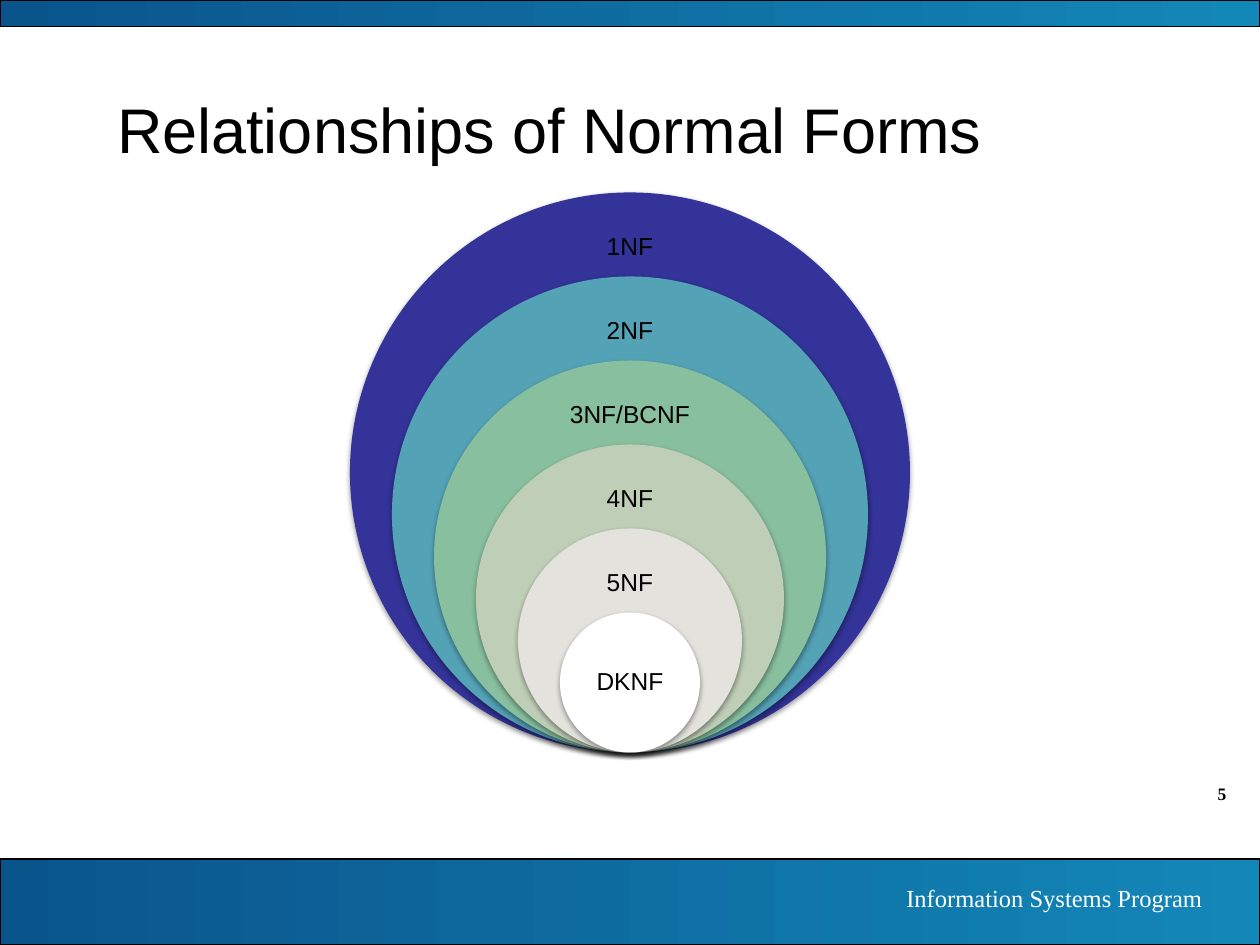
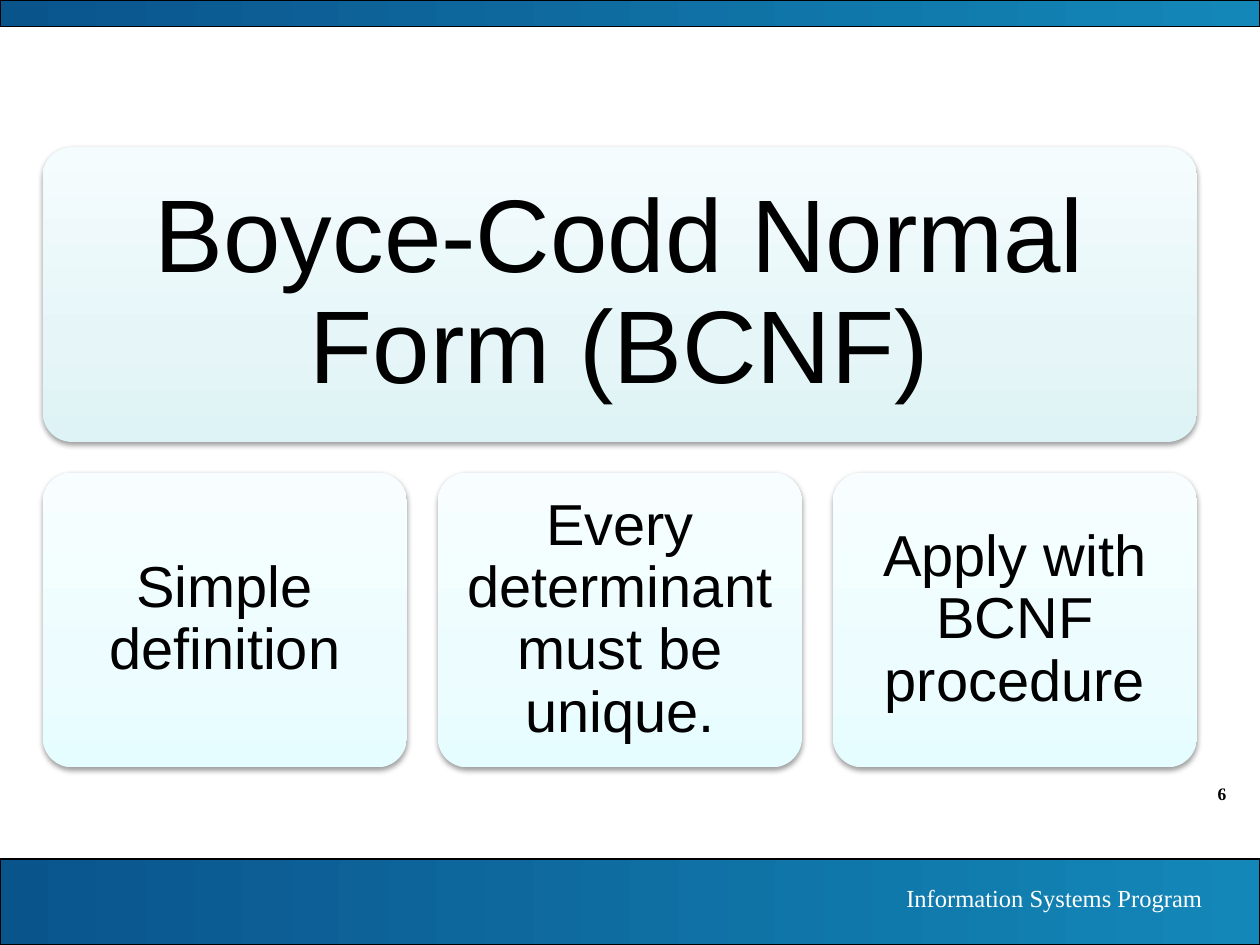
"""Build two slides on database normal forms."""
import lxml.etree
import pptx
import pptx.dml.color
import pptx.enum.shapes
import pptx.enum.text
import pptx.oxml.ns
import pptx.util

Cm = pptx.util.Cm
SHAPES = pptx.enum.shapes.MSO_SHAPE
ALIGN = pptx.enum.text.PP_ALIGN
ANCHOR = pptx.enum.text.MSO_ANCHOR
qn = pptx.oxml.ns.qn

COLORS = {
    "text": "000000", "footer": "FFFFFF", "outline": "000000", "shadow": "000000",
    "1NF": "333399", "2NF": "54A2B6", "3NF/BCNF": "88BF9E",
    "4NF": "BFCEB6", "5NF": "E3E2DD", "DKNF": "FFFFFF",
}
BAND_STOPS = [(0, "0A548C"), (100, "1387B8")]
HEADING_STOPS = [(0, "DDF3F5"), (35, "E6F6F8"), (100, "F5FCFD")]
POINT_STOPS = [(0, "E6FDFF"), (35, "EDFDFF"), (100, "F8FEFF")]

SLIDE_WIDTH, SLIDE_HEIGHT = 25.4, 19.05
LABEL_WIDTHS = {"1NF": 4.23, "2NF": 4.14, "3NF/BCNF": 4.09,
                "4NF": 3.35, "5NF": 2.95, "DKNF": 2.01}
POINTS = ["Simple definition", "Every determinant must be unique.",
          "Apply with BCNF procedure"]


def rgb(hex_color):
    """Return the colour object for a hex string."""
    return pptx.dml.color.RGBColor.from_string(hex_color)


def write_text(shape, text, size, font="Arial", color="text", bold=False,
               align=ALIGN.LEFT, anchor=ANCHOR.TOP, inset=None, spacing=None):
    """Write one formatted paragraph into a shape."""
    frame = shape.text_frame
    frame.word_wrap = True
    frame.vertical_anchor = anchor
    if inset is not None:
        frame.margin_left = frame.margin_right = Cm(inset)
        frame.margin_top = frame.margin_bottom = Cm(inset)
    paragraph = frame.paragraphs[0]
    paragraph.alignment = align
    paragraph.line_spacing = spacing
    run = paragraph.add_run()
    run.text = text
    run.font.name = font
    run.font.size = pptx.util.Pt(size)
    run.font.bold = bold
    run.font.color.rgb = rgb(COLORS[color])


def add_text(slide, box, text, **text_format):
    """Add a text box at (left, top, width, height) in centimetres."""
    textbox = slide.shapes.add_textbox(*map(Cm, box))
    write_text(textbox, text, **text_format)


def add_plain_shape(slide, kind, box):
    """Add a preset shape without outline or shadow."""
    shape = slide.shapes.add_shape(kind, *map(Cm, box))
    shape.shadow.inherit = False
    shape.line.fill.background()
    return shape


def fill_gradient(shape, stops, angle):
    """Fill a shape with a linear gradient of (percent, colour) stops."""
    shape.fill.gradient()
    shape.fill.gradient_angle = angle
    stop_list = shape._element.spPr.find(".//" + qn("a:gsLst"))
    for old_stop in list(stop_list):
        stop_list.remove(old_stop)
    for percent, color in stops:
        stop = lxml.etree.SubElement(stop_list, qn("a:gs"), pos=str(percent * 1000))
        lxml.etree.SubElement(stop, qn("a:srgbClr"), val=color)


def add_soft_shadow(shape):
    """Give a shape a soft shadow that falls straight down."""
    effects = shape._element.spPr.find(qn("a:effectLst"))
    shadow = lxml.etree.SubElement(effects, qn("a:outerShdw"), blurRad="40000",
                                   dist="20000", dir="5400000", rotWithShape="0")
    color = lxml.etree.SubElement(shadow, qn("a:srgbClr"), val=COLORS["shadow"])
    lxml.etree.SubElement(color, qn("a:alpha"), val="38000")


def add_band(slide, top, height):
    """Add a full-width gradient band."""
    band = add_plain_shape(slide, SHAPES.RECTANGLE, (0, top, SLIDE_WIDTH, height))
    fill_gradient(band, BAND_STOPS, 0)
    band.line.color.rgb = rgb(COLORS["outline"])
    band.line.width = pptx.util.Pt(0.75)


def add_framed_slide(deck, number):
    """Add a blank slide with its page number, bands and footer."""
    slide = deck.slides.add_slide(deck.slide_layouts[6])
    add_text(slide, (22.86, 15.67, 2.11, 0.69), str(number), size=10,
             font="Times New Roman", bold=True, align=ALIGN.RIGHT)
    add_band(slide, 17.32, SLIDE_HEIGHT - 17.32)
    add_band(slide, 0, 0.53)
    add_text(slide, (14.1, 17.68, 10.39, 0.86), "Information Systems Program",
             size=14, font="Times New Roman", color="footer", align=ALIGN.RIGHT)
    return slide


def add_nested_circles(slide, outer=11.29, bottom=15.17):
    """Add circles that shrink evenly and touch at the bottom."""
    center = SLIDE_WIDTH / 2
    for level, (form, label_width) in enumerate(LABEL_WIDTHS.items()):
        diameter = outer * (1 - 0.15 * level)
        top = bottom - diameter
        circle = add_plain_shape(slide, SHAPES.OVAL,
                                 (center - diameter / 2, top, diameter, diameter))
        circle.fill.solid()
        circle.fill.fore_color.rgb = rgb(COLORS[form])
        add_soft_shadow(circle)
        innermost = level == len(LABEL_WIDTHS) - 1
        offset, height = (diameter / 4, diameter / 2) if innermost else (0.56, 1.11)
        add_text(slide, (center - label_width / 2, top + offset, label_width, height),
                 form, size=14, align=ALIGN.CENTER, anchor=ANCHOR.MIDDLE,
                 inset=0.28, spacing=0.9)


def add_card(slide, box, text, stops, size, inset):
    """Add a rounded gradient card with centred text."""
    card = add_plain_shape(slide, SHAPES.ROUNDED_RECTANGLE, box)
    card.adjustments[0] = 0.1
    fill_gradient(card, stops, 90)
    add_soft_shadow(card)
    write_text(card, text, size=size, align=ALIGN.CENTER, anchor=ANCHOR.MIDDLE,
               inset=inset, spacing=0.9)


def add_card_grid(slide, left=0.86, top=2.97, width=23.27, height=5.94, gap=0.62):
    """Add the heading card above an even row of point cards."""
    add_card(slide, (left, top, width, height), "Boyce-Codd Normal Form (BCNF)",
             HEADING_STOPS, size=59, inset=0.64)
    point_width = (width - gap * (len(POINTS) - 1)) / len(POINTS)
    for column, point in enumerate(POINTS):
        box = (left + column * (point_width + gap), top + height + gap,
               point_width, height)
        add_card(slide, box, point, POINT_STOPS, size=33, inset=0.36)


def main():
    """Build and save the deck."""
    deck = pptx.Presentation()
    deck.slide_width, deck.slide_height = Cm(SLIDE_WIDTH), Cm(SLIDE_HEIGHT)

    relationships = add_framed_slide(deck, 5)
    add_text(relationships, (2.11, 1.7, 22.45, 3.18),
             "Relationships of Normal Forms", size=36)
    add_nested_circles(relationships)

    boyce_codd = add_framed_slide(deck, 6)
    add_card_grid(boyce_codd)

    deck.save("out.pptx")


if __name__ == "__main__":
    main()
